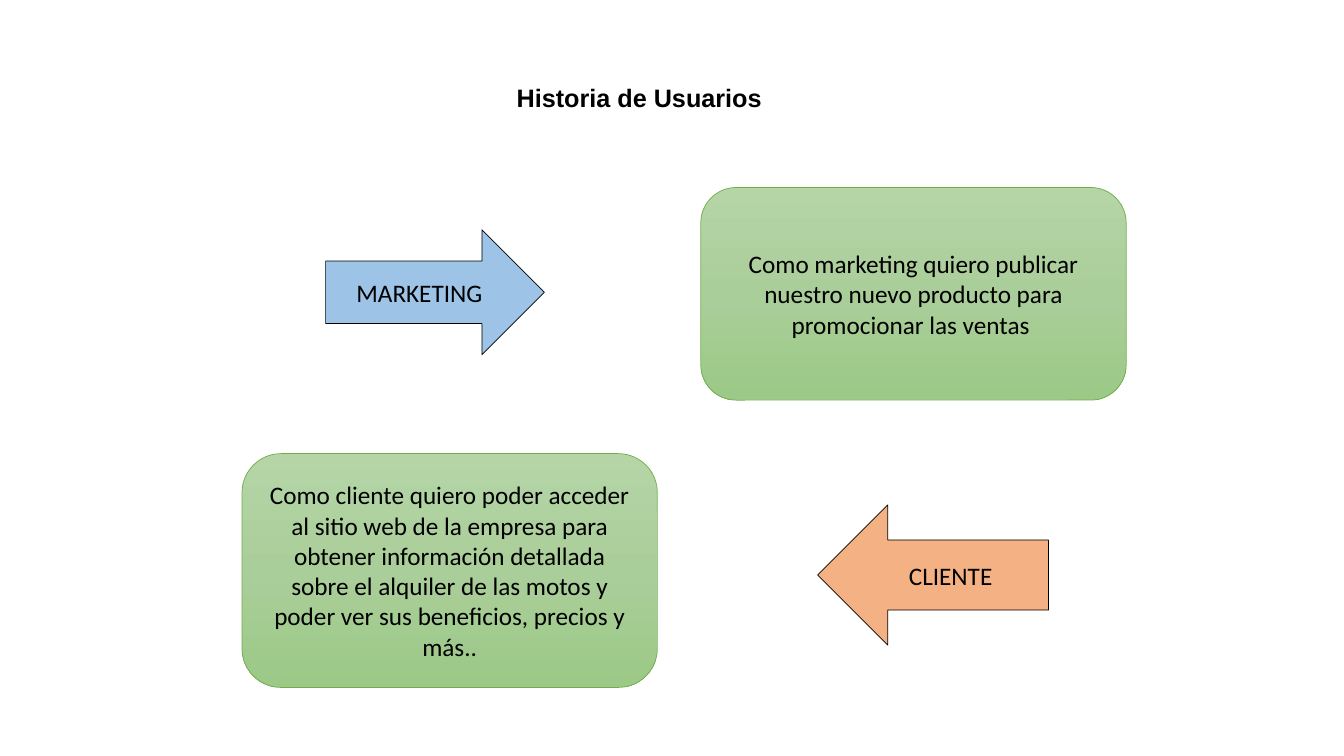
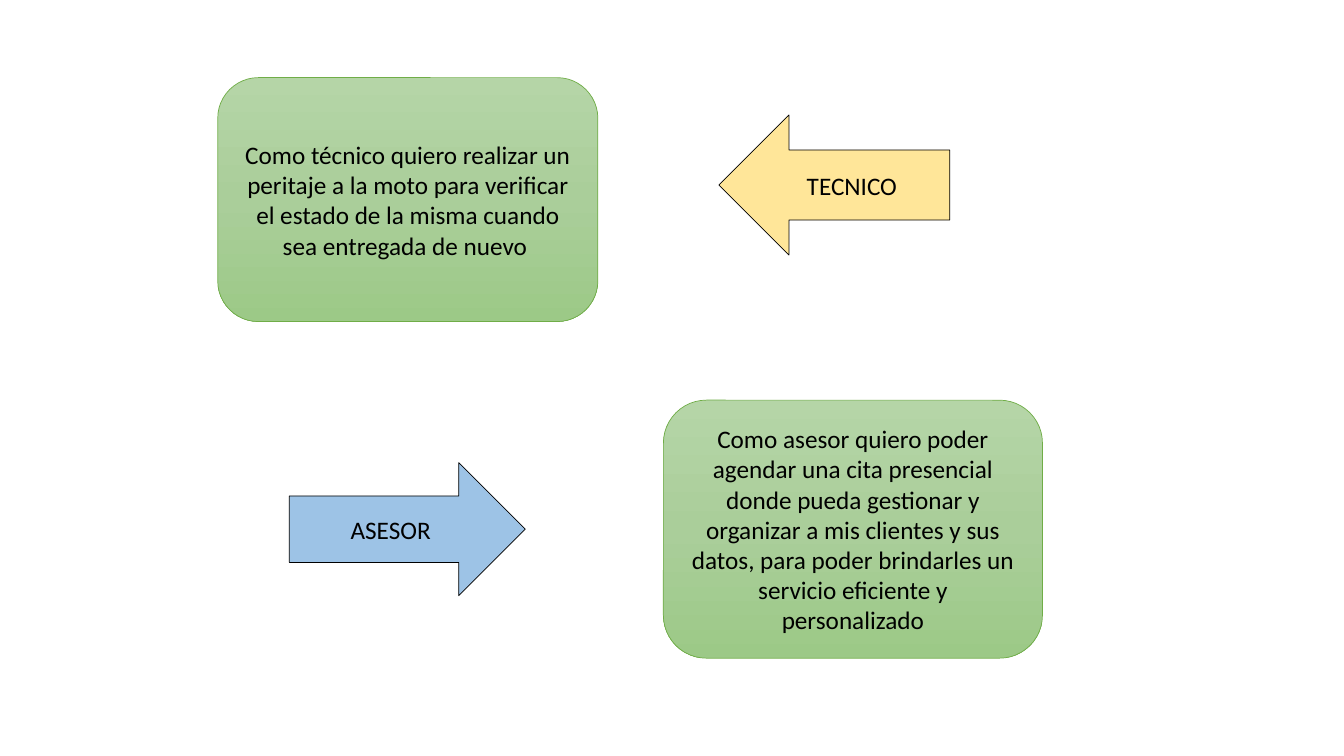
from copy import deepcopy

from pptx import Presentation
from pptx.dml.color import RGBColor
from pptx.enum.shapes import MSO_SHAPE
from pptx.enum.text import MSO_ANCHOR, PP_ALIGN
from pptx.oxml.ns import qn
from pptx.util import Inches, Pt

CARD = MSO_SHAPE.ROUNDED_RECTANGLE
RIGHT, LEFT = MSO_SHAPE.RIGHT_ARROW, MSO_SHAPE.LEFT_ARROW
MIDDLE, CENTER = MSO_ANCHOR.MIDDLE, PP_ALIGN.CENTER

COLORS = {
    "text": "000000", "card_line": "70AD47",
    "blue": "9DC3E6", "orange": "F4B183", "yellow": "FFE699",
}
CARD_STOPS = [(0, "B5D5A7"), (0.5, "AACE9A"), (1, "9CC987")]
TEXT_SIZE, LINE_WIDTH = Pt(18), Pt(0.5)
TITLE_BOX = (0.4, 0.8, 11.88, 0.5)

# Each story: role, arrow shape, arrow colour, arrow box, card text, card box.
# Boxes are left, top, width, height in inches.
SLIDES = [
    {"title": "Historia de Usuarios", "stories": [
        ("MARKETING", RIGHT, "blue", (3.23, 2.28, 2.17, 1.24),
         "Como marketing quiero publicar nuestro nuevo producto para "
         "promocionar las ventas ", (6.95, 1.86, 4.22, 2.11)),
        ("CLIENTE", LEFT, "orange", (8.11, 5.01, 2.29, 1.39),
         "Como cliente quiero poder acceder al sitio web de la empresa para "
         "obtener información detallada sobre el alquiler de las motos y "
         "poder ver sus beneficios, precios y más..",
         (2.4, 4.5, 4.12, 2.32)),
    ]},
    {"title": None, "stories": [
        ("TECNICO", LEFT, "yellow", (7.13, 1.14, 2.29, 1.39),
         "Como técnico quiero realizar un peritaje a la moto para verificar "
         "el estado de la misma cuando sea entregada de nuevo ",
         (2.16, 0.77, 3.77, 2.42)),
        ("ASESOR", RIGHT, "blue", (2.87, 4.59, 2.34, 1.32),
         "Como asesor quiero poder agendar una cita presencial donde pueda "
         "gestionar y organizar a mis clientes y sus datos, para poder "
         "brindarles un servicio eficiente y personalizado",
         (6.58, 3.97, 3.76, 2.56)),
    ]},
]


def rgb(name):
    return RGBColor.from_string(COLORS[name])


def write(sp, text, font="Calibri", bold=False):
    tf = sp.text_frame
    tf.word_wrap = True
    p = tf.paragraphs[0]
    p.text, p.alignment = text, CENTER
    f = p.runs[0].font
    f.name, f.size, f.bold = font, TEXT_SIZE, bold
    f.color.rgb = rgb("text")
    return p


def add_block(s, kind, box, text, line):
    sp = s.shapes.add_shape(kind, *map(Inches, box))
    sp.shadow.inherit = False
    sp.line.color.rgb = rgb(line)
    sp.line.width = LINE_WIDTH
    sp.text_frame.vertical_anchor = MIDDLE
    write(sp, text)
    return sp


def fill_card(sp):
    """Apply the three-stop green gradient, light at the top."""
    sp.fill.gradient()
    sp.fill.gradient_angle = 270
    stops = next(sp._element.spPr.iter(qn("a:gsLst")))
    stops.insert(1, deepcopy(stops[0]))
    for stop, (position, color) in zip(sp.fill.gradient_stops, CARD_STOPS):
        stop.position = position
        stop.color.rgb = RGBColor.from_string(color)


def add_story(s, role, arrow, color, arrow_box, text, card_box):
    fill_card(add_block(s, CARD, card_box, text, "card_line"))
    sp = add_block(s, arrow, arrow_box, role, "text")
    sp.fill.solid()
    sp.fill.fore_color.rgb = rgb(color)


def add_title(s, text):
    sp = s.shapes.add_textbox(*map(Inches, TITLE_BOX))
    write(sp, text, "Arial", True).line_spacing = 0.9


def main():
    prs = Presentation()
    prs.slide_width, prs.slide_height = Inches(13.33), Inches(7.5)
    for content in SLIDES:
        s = prs.slides.add_slide(prs.slide_layouts[6])
        for story in content["stories"]:
            add_story(s, *story)
        if content["title"]:
            add_title(s, content["title"])
    prs.save("out.pptx")


if __name__ == "__main__":
    main()
